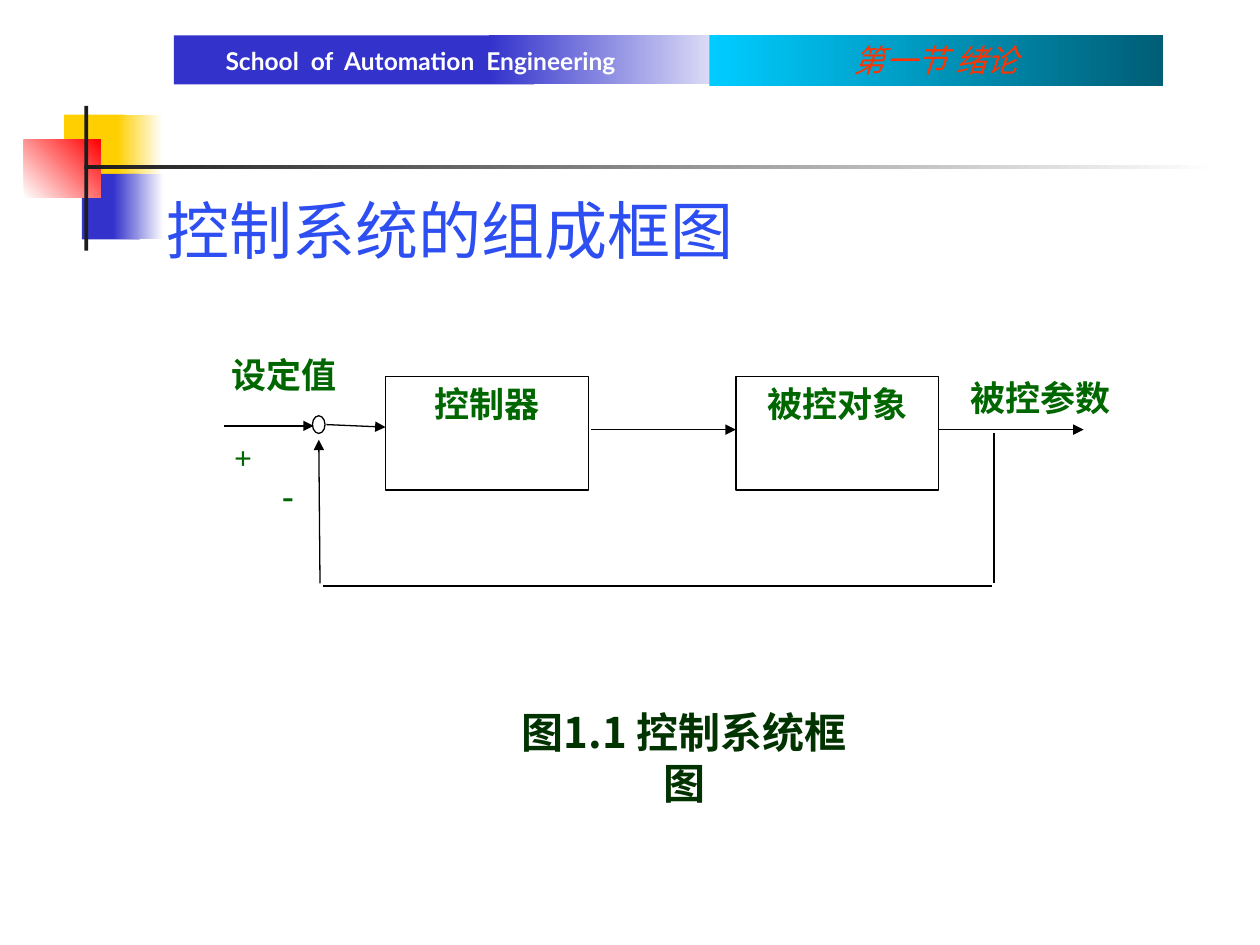
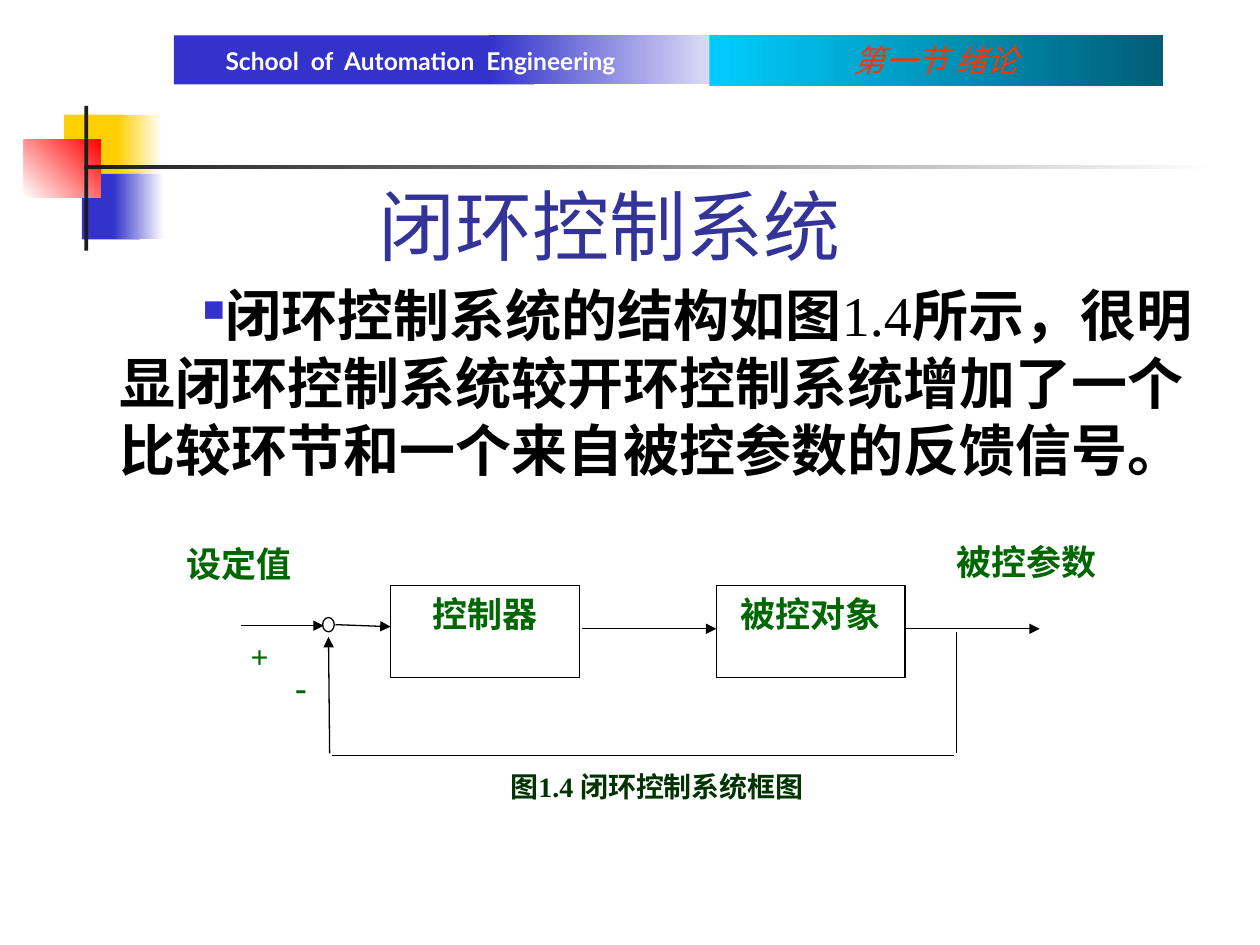
from dataclasses import dataclass
from lxml.etree import SubElement
from pptx import Presentation
from pptx.dml.color import RGBColor
from pptx.enum.shapes import MSO_CONNECTOR as Connector, MSO_SHAPE as Preset
from pptx.enum.text import MSO_ANCHOR as Anchor, PP_ALIGN as Align
from pptx.oxml.ns import qn
from pptx.util import Inches, Pt


@dataclass(frozen=True)
class Theme:
    yellow: str = "FFCF01"
    blue: str = "3333CC"
    red: str = "FF0000"
    ink: str = "1C1C1C"
    white: str = "FFFFFF"
    black: str = "000000"
    cyan: str = "00CCFF"
    teal: str = "005E76"
    orange: str = "FF3300"
    bright_blue: str = "2D4EF1"
    title_blue: str = "333399"
    green: str = "006600"
    dark_green: str = "003300"
    serif: str = "Times New Roman"
    sans: str = "Lato"
    chinese: str = "Noto Sans CJK SC"
    school: int = 14
    caption: int = 16
    section: int = 18
    label: int = 20
    figure: int = 24
    body: int = 32
    heading: int = 36
    title: int = 44
    leading: float = 1.2
    line: float = 0.75


THEME = Theme()

DECORATION = [
    ((0.51, 0.91, 0.48, 0.52), [THEME.yellow], 0),
    ((0.93, 0.91, 0.36, 0.52), [THEME.yellow, THEME.white], 0),
    ((0.65, 1.38, 0.46, 0.52), [THEME.blue], 0),
    ((0.9, 1.38, 0.4, 0.52), [THEME.blue, THEME.white], 0),
    ((0.19, 1.11, 0.61, 0.46), [THEME.white, THEME.red], 45),
    ((0.67, 0.84, 0.03, 1.15), [THEME.ink], 0),
    ((0.67, 1.31, 9, 0.03), [THEME.ink, THEME.white], 0),
    ((1.38, 0.28, 2.86, 0.39), [THEME.blue], 0),
    ((3.88, 0.28, 2.14, 0.39), [THEME.blue, THEME.white], 0),
    ((5.63, 0.28, 3.6, 0.4), [THEME.cyan, THEME.teal], 0),
]

SCHOOL = dict(text="School  of  Automation  Engineering", at=(1.79, 0.37, 3.9, 0.23),
              size=THEME.school, color=THEME.white, font=THEME.sans, bold=True,
              anchor=Anchor.MIDDLE, inset=(0, 0))
SECTION = dict(text="第一节 绪论", at=(5.63, 0.28, 3.6, 0.4), size=THEME.section,
               color=THEME.orange, italic=True, align=Align.CENTER)

LABEL = dict(size=THEME.label, color=THEME.green, bold=True)
BOXES = [("控制器", (3.06, 2.99, 1.61, 0.9)), ("被控对象", (5.84, 2.99, 1.61, 0.9))]
SIGNS = [("+", (1.76, 3.43, 0.31, 0.93), THEME.section),
         ("-", (2.14, 3.71, 0.35, 0.7), THEME.label)]
JUNCTION = (2.48, 3.3, 0.1, 0.14)
LINES = [
    ((1.78, 3.38), (2.49, 3.38), True),
    ((2.59, 3.37), (3.06, 3.39), True),
    ((4.69, 3.41), (5.84, 3.41), True),
    ((7.45, 3.41), (8.6, 3.41), True),
    ((7.89, 3.44), (7.89, 4.63), False),
    ((7.87, 4.65), (2.56, 4.65), False),
    ((2.54, 4.63), (2.53, 3.49), True),
]
DIAGRAM_ORIGIN = (3.06, 2.99)

SLIDES = [
    dict(
        texts=[
            dict(text="控制系统的组成框图", at=(1.22, 1.47, 4.7, 0.7), size=THEME.heading,
                 color=THEME.bright_blue, font=THEME.chinese, align=Align.CENTER, wrap=False),
            dict(text="图1.1 控制系统框图", at=(3.93, 5.56, 3, 0.5), size=THEME.figure,
                 color=THEME.dark_green, font=THEME.chinese, bold=True, align=Align.CENTER),
            dict(text="设定值", at=(1.74, 2.76, 1.49, 0.78), **LABEL),
            dict(text="被控参数", at=(7.6, 2.94, 1.49, 0.78), **LABEL),
        ],
        diagram=dict(origin=(3.06, 2.99), scale=(1, 1)),
    ),
    dict(
        texts=[
            dict(text="闭环控制系统", at=(0.59, 1.31, 8.5, 0.94), size=THEME.title,
                 color=THEME.title_blue, align=Align.CENTER, anchor=Anchor.MIDDLE),
            dict(text=[("闭环控制系统的结构如图", True), ("1.4", False),
                       ("所示，很明显闭环控制系统较开环控制系统增加了一个比较环节和一个来自被控参数的反馈信号。", True)],
                 at=(0.43, 2.18, 9.28, 2.09), size=THEME.body, color=THEME.black, bullet="■"),
            dict(text="图1.4 闭环控制系统框图", at=(3.85, 6.06, 2.73, 0.6), size=THEME.caption,
                 color=THEME.dark_green, bold=True, align=Align.CENTER),
            dict(text="设定值", at=(1.38, 4.26, 1.4, 0.63), **LABEL),
            dict(text="被控参数", at=(7.49, 4.24, 1.4, 0.63), **LABEL),
        ],
        diagram=dict(origin=(3.1, 4.65), scale=(0.93, 0.81)),
    ),
]


def rgb(color):
    return RGBColor.from_string(color)


def inches(values):
    return [Inches(value) for value in values]


def add_bullet(paragraph, character):
    properties = paragraph._p.get_or_add_pPr()
    layout = dict(marL=Inches(0.42), indent=Inches(0.66), hangingPunct=0)
    for name, value in layout.items():
        properties.set(name, str(int(value)))
    color = SubElement(properties, qn("a:buClr"))
    SubElement(color, qn("a:srgbClr"), val=THEME.blue)
    SubElement(properties, qn("a:buSzPct"), val="54000")
    SubElement(properties, qn("a:buChar"), char=character)


def add_text(slide, text, at, size, color, font=THEME.serif, bold=False, italic=False,
             align=Align.LEFT, anchor=Anchor.TOP, inset=(0.1, 0.05), wrap=True, bullet=None):
    frame = slide.shapes.add_textbox(*inches(at)).text_frame
    across, down = inches(inset)
    frame_format = dict(word_wrap=wrap, vertical_anchor=anchor, margin_left=across,
                        margin_right=across, margin_top=down, margin_bottom=down)
    for name, value in frame_format.items():
        setattr(frame, name, value)
    paragraph = frame.paragraphs[0]
    paragraph.alignment = align
    paragraph.line_spacing = Pt(size * THEME.leading)
    if bullet:
        add_bullet(paragraph, bullet)
    for words, heavy in [(text, bold)] if isinstance(text, str) else text:
        run = paragraph.add_run()
        run.text = words
        run_format = dict(name=font, size=Pt(size), bold=heavy, italic=italic)
        for name, value in run_format.items():
            setattr(run.font, name, value)
        run.font.color.rgb = rgb(color)
        SubElement(run._r.get_or_add_rPr(), qn("a:ea"), typeface=THEME.chinese)


def add_block(slide, at, colors, angle):
    shape = slide.shapes.add_shape(Preset.RECTANGLE, *inches(at))
    shape.shadow.inherit = False
    shape.line.fill.background()
    if len(colors) == 1:
        shape.fill.solid()
        shape.fill.fore_color.rgb = rgb(colors[0])
        return
    shape.fill.gradient()
    shape.fill.gradient_angle = angle
    for position, (stop, color) in enumerate(zip(shape.fill.gradient_stops, colors)):
        stop.position = position
        stop.color.rgb = rgb(color)


def draw_line(line):
    line.color.rgb = rgb(THEME.black)
    line.width = Pt(THEME.line)


def add_outline(slide, preset, at):
    shape = slide.shapes.add_shape(preset, *inches(at))
    shape.shadow.inherit = False
    shape.fill.background()
    draw_line(shape.line)


def add_line(slide, start, end, arrow):
    connector = slide.shapes.add_connector(Connector.STRAIGHT, *inches(start + end))
    draw_line(connector.line)
    if arrow:
        SubElement(connector.line._get_or_add_ln(), qn("a:tailEnd"), type="triangle")
    SubElement(connector._element.spPr, qn("a:effectLst"))


def add_diagram(slide, origin, scale):
    def point(position):
        return tuple(new + (value - old) * factor for new, value, old, factor
                     in zip(origin, position, DIAGRAM_ORIGIN, scale))

    def area(at):
        return point(at[:2]) + tuple(length * factor for length, factor in zip(at[2:], scale))

    for name, at in BOXES:
        add_outline(slide, Preset.RECTANGLE, area(at))
        add_text(slide, name, area(at), align=Align.CENTER, **LABEL)
    add_outline(slide, Preset.OVAL, area(JUNCTION))
    for start, end, arrow in LINES:
        add_line(slide, point(start), point(end), arrow)
    for sign, at, size in SIGNS:
        add_text(slide, sign, area(at), **{**LABEL, "size": size})


def main():
    presentation = Presentation()
    presentation.slide_width, presentation.slide_height = inches((10, 7.5))
    for content in SLIDES:
        slide = presentation.slides.add_slide(presentation.slide_layouts[6])
        for at, colors, angle in DECORATION:
            add_block(slide, at, colors, angle)
        for text in [SCHOOL, SECTION, *content["texts"]]:
            add_text(slide, **text)
        add_diagram(slide, **content["diagram"])
    presentation.save("out.pptx")


if __name__ == "__main__":
    main()
